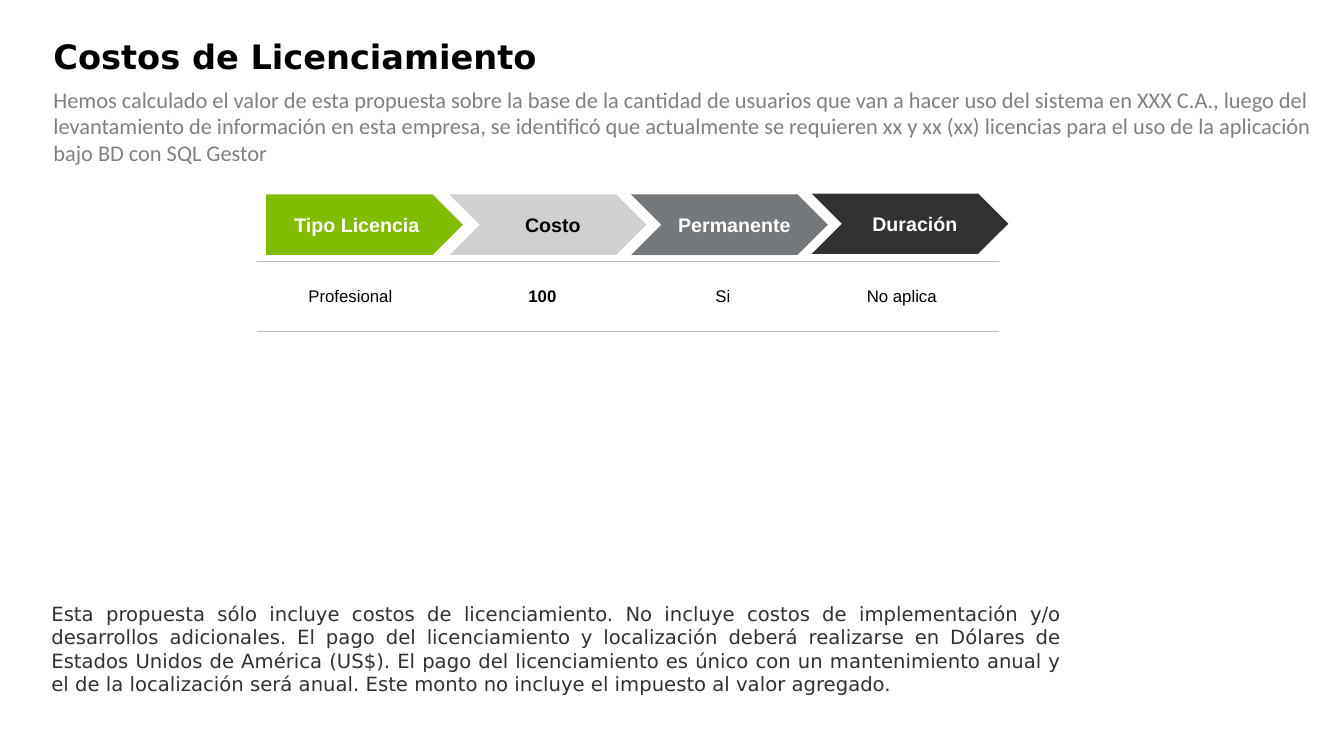
from lxml import etree
from pptx import Presentation
from pptx.dml.color import RGBColor
from pptx.enum.shapes import MSO_SHAPE
from pptx.enum.text import MSO_ANCHOR, MSO_AUTO_SIZE, PP_ALIGN
from pptx.oxml.ns import qn
from pptx.util import Inches, Pt

PLATE, CHEVRON = MSO_SHAPE.PENTAGON, MSO_SHAPE.CHEVRON
MIDDLE, TOP = MSO_ANCHOR.MIDDLE, MSO_ANCHOR.TOP
LEFT, CENTER, JUSTIFY = PP_ALIGN.LEFT, PP_ALIGN.CENTER, PP_ALIGN.JUSTIFY
FIXED = MSO_AUTO_SIZE.NONE

COLORS = {"black": "000000", "white": "FFFFFF", "green": "81BC00", "light": "D0D0CE",
          "gray": "75787B", "dark": "313131", "text": "808080", "rule": "BBBCBC"}
FONTS = {
    "title": {"name": "DejaVu Sans", "size": Pt(24), "bold": True},
    "intro": {"name": "Calibri", "size": Pt(16)},
    "note": {"name": "DejaVu Sans", "size": Pt(14)},
    "head": {"name": "Arial", "size": Pt(14), "bold": True},
    "cell": {"name": "Arial", "size": Pt(12), "bold": False},
    "cost": {"name": "Arial", "size": Pt(12), "bold": True},
}
INTRO = ("Hemos calculado el valor de esta propuesta sobre la base de la cantidad de "
         "usuarios que van a hacer uso del sistema en XXX C.A., luego del levantamiento "
         "de información en esta empresa, se identificó que actualmente se requieren xx y "
         "xx (xx) licencias para el uso de la aplicación bajo BD con SQL Gestor")
NOTE = ("Esta propuesta sólo incluye costos de licenciamiento. No incluye costos de "
        "implementación y/o desarrollos adicionales. El pago del licenciamiento y "
        "localización deberá realizarse en Dólares de Estados Unidos de América (US$). "
        "El pago del licenciamiento es único con un mantenimiento anual y el de la "
        "localización será anual. Este monto no incluye el impuesto al valor agregado.")
HEADS = [("Tipo Licencia", PLATE, 2.64, 1.93, "green", "white"),
         ("Costo", CHEVRON, 4.46, 1.93, "light", "black"),
         ("Permanente", CHEVRON, 6.26, 1.93, "gray", "white"),
         ("Duración", CHEVRON, 8.05, 1.92, "dark", "white")]
CELLS = [("Profesional", 1.85, "cell"), ("100", 1.96, "cost"),
         ("Si", 1.62, "cell"), ("No aplica", 1.93, "cell")]


def apply(target, values):
    """Set each attribute named in values on the target."""
    for name, value in values.items():
        setattr(target, name, value)


class Deck:
    """Holds the style and the current slide."""

    def __init__(self):
        """Open a wide deck with one title-only slide."""
        self.file = Presentation()
        apply(self.file, {"slide_width": Inches(13.33), "slide_height": Inches(7.5)})
        self.slide = self.file.slides.add_slide(self.file.slide_layouts[5])

    def label(self, frame, text, font, color, align, **spacing):
        """Fill a text frame with one styled paragraph."""
        para = frame.paragraphs[0]
        apply(para, {"alignment": align, **spacing})
        run = para.add_run()
        run.text = text
        apply(run.font, FONTS[font])
        run.font.color.rgb = RGBColor.from_string(COLORS[color])

    def setup(self, frame, anchor, left, top, right, bottom):
        """Set the wrap, anchor and insets of a text frame."""
        apply(frame, {"word_wrap": True, "auto_size": FIXED, "vertical_anchor": anchor,
                      "margin_left": Inches(left), "margin_top": Inches(top),
                      "margin_right": Inches(right), "margin_bottom": Inches(bottom)})

    def title(self, text, left, top, width, height):
        """Move and format the title placeholder."""
        shape = self.slide.shapes.title
        apply(shape, {"left": Inches(left), "top": Inches(top),
                      "width": Inches(width), "height": Inches(height)})
        self.setup(shape.text_frame, MIDDLE, 0.1, 0.05, 0.1, 0.05)
        self.label(shape.text_frame, text, "title", "black", LEFT, line_spacing=0.9)

    def text(self, text, box, font, color, align, **spacing):
        """Add a text box without insets."""
        frame = self.slide.shapes.add_textbox(*map(Inches, box)).text_frame
        self.setup(frame, TOP, 0, 0, 0, 0)
        self.label(frame, text, font, color, align, **spacing)

    def arrow(self, text, kind, left, top, fill, color):
        """Add one column heading."""
        shape = self.slide.shapes.add_shape(
            kind, Inches(left), Inches(top), Inches(1.95), Inches(0.6))
        shape.shadow.inherit = False
        shape.fill.solid()
        shape.fill.fore_color.rgb = RGBColor.from_string(COLORS[fill])
        shape.line.fill.background()
        self.setup(shape.text_frame, MIDDLE, 0.1, 0.1, 0.1 if kind == PLATE else 0, 0.1)
        self.label(shape.text_frame, text, "head", color, CENTER)

    def border(self, cell):
        """Rule a cell above and below only."""
        props = cell._tc.get_or_add_tcPr()
        for place, side in enumerate(("lnL", "lnR", "lnT", "lnB")):
            line = etree.Element(qn("a:" + side), w=str(Pt(0.5)))
            if side in ("lnT", "lnB"):
                fill = etree.SubElement(line, qn("a:solidFill"))
                etree.SubElement(fill, qn("a:srgbClr"), val=COLORS["rule"])
            else:
                etree.SubElement(line, qn("a:noFill"))
            props.insert(place, line)

    def table(self, cells, left, top, height):
        """Add a one-row table."""
        width = sum(size for _, size, _ in cells)
        table = self.slide.shapes.add_table(
            1, len(cells), Inches(left), Inches(top), Inches(width), Inches(height)).table
        apply(table, {"first_row": False, "horz_banding": False})
        for index, (text, size, font) in enumerate(cells):
            table.columns[index].width = Inches(size)
            cell = table.cell(0, index)
            cell.vertical_anchor = MIDDLE
            cell.fill.background()
            self.border(cell)
            self.label(cell.text_frame, text, font, "black", CENTER)


def main():
    """Build and save the slide."""
    deck = Deck()
    deck.text(NOTE, (0.51, 5.97, 10.02, 0.92), "note", "dark", JUSTIFY,
              space_before=Pt(2.8), space_after=Pt(2.2))
    deck.text(INTRO, (0.53, 0.85, 12.62, 0.77), "intro", "text", LEFT, space_before=Pt(12))
    deck.title("Costos de Licenciamiento", 0.43, 0.4, 12.31, 0.36)
    deck.table(CELLS, 2.55, 2.59, 0.7)
    for head in HEADS:
        deck.arrow(*head)
    deck.file.save("out.pptx")


if __name__ == "__main__":
    main()
